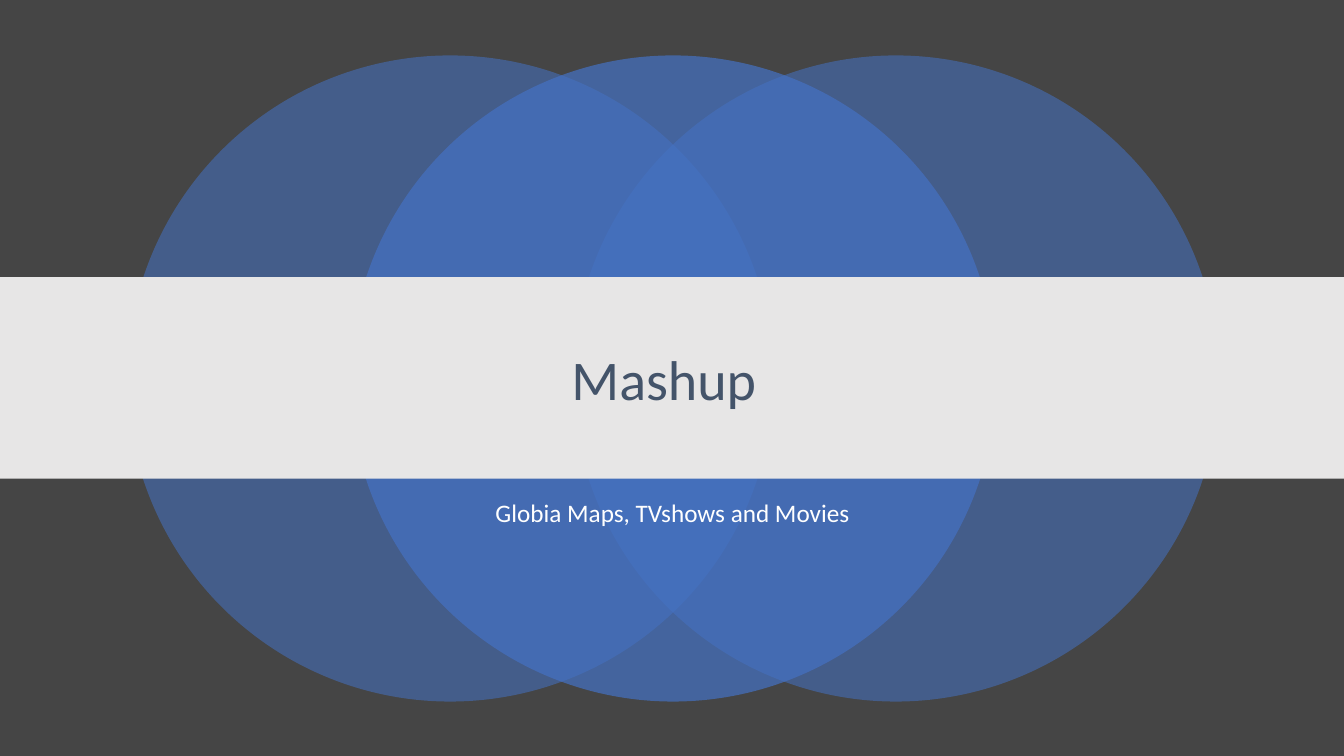
import pptx
import pptx.dml.color
import pptx.enum.shapes
import pptx.enum.text
import pptx.oxml
import pptx.oxml.ns
import pptx.util
from dataclasses import dataclass

Inches = pptx.util.Inches
Pt = pptx.util.Pt
SHAPE = pptx.enum.shapes.MSO_SHAPE
ANCHOR = pptx.enum.text.MSO_ANCHOR


@dataclass(frozen=True)
class Theme:
    """Colours, font and type sizes of the slide."""
    background: str = "454545"
    circle: str = "4472C4"
    band: str = "E7E6E6"
    title: str = "44546A"
    subtitle: str = "FFFFFF"
    font: str = "Calibri"
    title_size: int = 40
    subtitle_size: int = 18


THEME = Theme()


def rgb(color):
    """Turn a hex string into a colour."""
    return pptx.dml.color.RGBColor.from_string(color)


def add_filled(s, kind, box, color, opacity=100):
    """Add a borderless shape with a solid, optionally translucent fill."""
    sp = s.shapes.add_shape(kind, *map(Inches, box))
    sp.shadow.inherit = False
    sp.line.fill.background()
    sp.fill.solid()
    sp.fill.fore_color.rgb = rgb(color)
    if opacity < 100:
        clr = sp.fill._xPr.find(".//" + pptx.oxml.ns.qn("a:srgbClr"))
        alpha = pptx.oxml.parse_xml(f'<a:alpha {pptx.oxml.ns.nsdecls("a")} val="{opacity * 1000}"/>')
        clr.append(alpha)
    return sp


def add_text(s, box, text, size, color, frame=None, paragraph=None):
    """Add a centred line of text in a wrapping box."""
    tf = s.shapes.add_textbox(*map(Inches, box)).text_frame
    p = tf.paragraphs[0]
    r = p.add_run()
    r.text = text
    formats = (
        (tf, {"word_wrap": True, **(frame or {})}),
        (p, {"alignment": pptx.enum.text.PP_ALIGN.CENTER, "line_spacing": 0.9, **(paragraph or {})}),
        (r.font, {"name": THEME.font, "size": Pt(size)}),
    )
    for target, values in formats:
        for name, value in values.items():
            setattr(target, name, value)
    r.font.color.rgb = rgb(color)


def add_circles(s, box):
    """Overlap three circles across the box, the middle one in front."""
    left, top, width, height = box
    step = (width - height) / 2
    for position, opacity in ((0, 55), (2, 55), (1, 70)):
        circle = (left + position * step, top, height, height)
        add_filled(s, SHAPE.OVAL, circle, THEME.circle, opacity)


def add_title_band(s, box, title):
    """Draw the band and set the title in it."""
    left, top, width, height = box
    add_filled(s, SHAPE.RECTANGLE, box, THEME.band)
    title_box = (left + 1.67, top + 0.29, width - 3.33, 1.51)
    frame = {"vertical_anchor": ANCHOR.MIDDLE, "margin_right": Inches(0.27)}
    add_text(s, title_box, title, THEME.title_size, THEME.title, frame)


def add_subtitle(s, box, subtitle):
    """Set the subtitle at the top of the box."""
    add_text(s, box, subtitle, THEME.subtitle_size, THEME.subtitle,
             {"vertical_anchor": ANCHOR.TOP}, {"space_before": Pt(10)})


def add_title_slide(prs, title, subtitle):
    """Build the title slide."""
    s = prs.slides.add_slide(prs.slide_layouts[6])
    s.background.fill.solid()
    s.background.fill.fore_color.rgb = rgb(THEME.background)
    add_circles(s, (1.26, 0.55, 10.83, 6.41))
    add_title_band(s, (0, 2.75, 13.33, 2), title)
    add_subtitle(s, (1.67, 4.92, 10, 0.83), subtitle)


def main():
    """Create and save the presentation."""
    prs = pptx.Presentation()
    prs.slide_width, prs.slide_height = Inches(13.33), Inches(7.5)
    add_title_slide(prs, "Mashup", "Globia Maps, TVshows and Movies")
    prs.save("out.pptx")


main()
